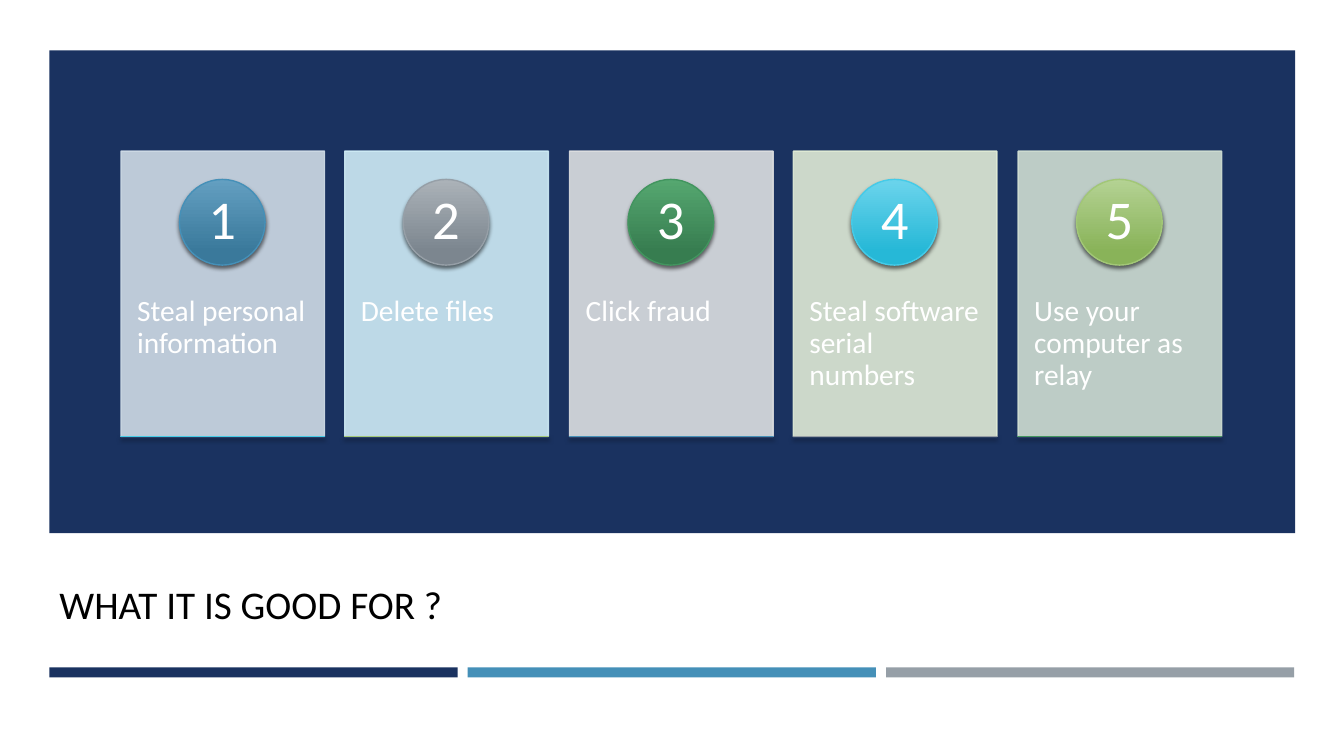
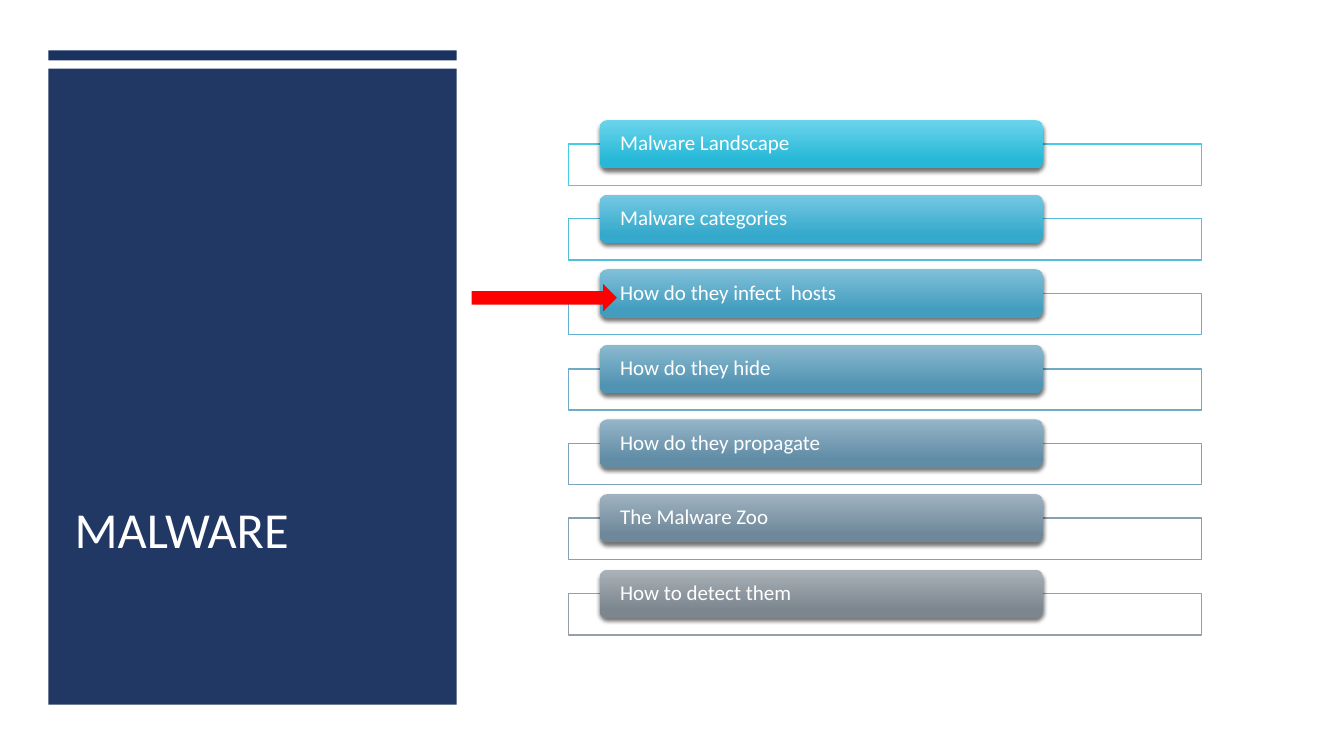
from lxml.etree import SubElement
from pptx import Presentation
from pptx.dml.color import RGBColor
from pptx.enum.shapes import MSO_SHAPE
from pptx.enum.text import MSO_ANCHOR, MSO_AUTO_SIZE, PP_ALIGN
from pptx.oxml.ns import qn
from pptx.util import Emu, Pt

PX = 9144  # one hundredth of an inch
FONT = "Calibri"

COLORS = {
    "white": "FFFFFF", "black": "000000", "navy": "1A3260", "red": "FF0000",
    "blue": "4590B8", "grey": "969FA7",
}
# Gradient top, outline, gradient bottom
SHADES = {
    "blue": ("639FC1", "4590B8", "3A799B"),
    "grey": ("ABB2B8", "969FA7", "7C868F"),
    "green": ("55A770", "42955F", "377D50"),
    "cyan": ("6BD4EC", "45CBE8", "26B8D7"),
    "lime": ("B4D293", "A2C777", "89B359"),
    "cyan 2": ("75C9E3", "53BDDC", "34A9CB"),
    "cyan 3": ("80C0D9", "61B2D1", "439DBF"),
    "cyan 4": ("8BBAD0", "6FAAC6", "5193B2"),
    "cyan 5": ("96B5C8", "7CA4BB", "608CA6"),
    "cyan 6": ("A0B2C0", "89A0B1", "6E889A"),
}


def draw(slide, preset, box, fill, line=None, alpha=None, shadow=False):
    """Add a preset shape; fill is a hex string or a (top, bottom) gradient."""
    shape = slide.shapes.add_shape(preset, *[Emu(v * PX) for v in box])
    shape.shadow.inherit = False
    if isinstance(fill, str):
        shape.fill.solid()
        shape.fill.fore_color.rgb = RGBColor.from_string(fill)
    else:
        shape.fill.gradient()
        shape.fill.gradient_angle = 270
        for stop, color, position in zip(shape.fill.gradient_stops, fill, (0, 0.84)):
            stop.color.rgb = RGBColor.from_string(color)
            stop.position = position
    if line:
        shape.line.color.rgb = RGBColor.from_string(line)
        shape.line.width = Pt(1)
    else:
        shape.line.fill.background()
    properties = shape._element.spPr
    if alpha:
        for color in list(properties.iter(qn("a:srgbClr"))):
            SubElement(color, qn("a:alpha"), val=str(alpha * 1000))
    if shadow:
        outer = SubElement(properties.find(qn("a:effectLst")), qn("a:outerShdw"),
                           blurRad=str(Pt(3)), dist=str(Pt(2)), dir="5400000",
                           algn="ctr", rotWithShape="0")
        color = SubElement(outer, qn("a:srgbClr"), val=COLORS["black"])
        SubElement(color, qn("a:alpha"), val="55000")
    return shape


def write(shape, text, size, color="white", anchor=MSO_ANCHOR.MIDDLE,
          align=PP_ALIGN.LEFT, insets=(10, 5, 10, 5), spacing=0.9):
    """Set the text of a shape; insets are left, top, right, bottom."""
    frame = shape.text_frame
    frame.text = text
    frame.word_wrap = True
    frame.auto_size = MSO_AUTO_SIZE.NONE
    frame.vertical_anchor = anchor
    (frame.margin_left, frame.margin_top,
     frame.margin_right, frame.margin_bottom) = [Emu(v * PX) for v in insets]
    paragraph = frame.paragraphs[0]
    paragraph.alignment = align
    paragraph.line_spacing = spacing
    paragraph.font.name = FONT
    paragraph.font.size = Pt(size)
    paragraph.font.color.rgb = RGBColor.from_string(COLORS[color])


deck = Presentation()
deck.slide_width, deck.slide_height = Emu(12192000), Emu(750 * PX)
title_only = deck.slide_layouts[5]
purposes, agenda = [deck.slides.add_slide(title_only) for _ in range(2)]

# Slide 1: panel and stripes
draw(purposes, MSO_SHAPE.RECTANGLE, (49, 50, 1236, 479), COLORS["navy"])
for i, name in enumerate(("navy", "blue", "grey")):
    draw(purposes, MSO_SHAPE.RECTANGLE, (49 + 415 * i, 662, 405, 10), COLORS[name])

# Slide 1: numbered cards
CARD_TOP, CARD_WIDTH, CARD_HEIGHT, BADGE = 150, 202, 283, 85
cards = [
    ("Steal personal information", "CFDBE6", "blue", "cyan"),
    ("Delete files", "CFECF6", "grey", "lime"),
    ("Click fraud", "DDDFE1", "green", "blue"),
    ("Steal software serial numbers", "E0EBD6", "cyan", "grey"),
    ("Use your computer as relay", "CFDDD2", "lime", "green"),
]
for i, (purpose, tint, badge_shade, base_shade) in enumerate(cards):
    left = 120 + 890 * i // 4
    card = draw(purposes, MSO_SHAPE.RECTANGLE,
                (left, CARD_TOP, CARD_WIDTH, CARD_HEIGHT), tint, tint, alpha=90)
    write(card, purpose, 21, anchor=MSO_ANCHOR.TOP, insets=(16, 144, 16, 41))

    top, edge, bottom = SHADES[badge_shade]
    badge = draw(purposes, MSO_SHAPE.OVAL,
                 (left + (CARD_WIDTH - BADGE) // 2, CARD_TOP + 28, BADGE, BADGE),
                 (top, bottom), edge, shadow=True)
    write(badge, str(i + 1), 39, align=PP_ALIGN.CENTER, insets=(0, 0, 0, 0))

    top, edge, bottom = SHADES[base_shade]
    draw(purposes, MSO_SHAPE.RECTANGLE,
         (left, CARD_TOP + CARD_HEIGHT, CARD_WIDTH, 0), (top, bottom), edge, shadow=True)

# Slide 2: title panel
draw(agenda, MSO_SHAPE.RECTANGLE, (48, 68, 405, 631), COLORS["navy"], alpha=97)
draw(agenda, MSO_SHAPE.RECTANGLE, (48, 50, 405, 10), COLORS["navy"])

# Slide 2: topics
topics = [
    ("Malware Landscape", "cyan"),
    ("Malware categories", "cyan 2"),
    ("How do they infect  hosts", "cyan 3"),
    ("How do they hide", "cyan 4"),
    ("How do they propagate", "cyan 5"),
    ("The Malware Zoo", "cyan 6"),
    ("How to detect them", "grey"),
]
for i, (topic, shade) in enumerate(topics):
    y = 119 + 446 * i // 6
    top, edge, bottom = SHADES[shade]
    draw(agenda, MSO_SHAPE.RECTANGLE, (564, y + 24, 628, 41), COLORS["white"], edge, alpha=None)
    pill = draw(agenda, MSO_SHAPE.ROUNDED_RECTANGLE, (595, y, 440, 48),
                (top, bottom), shadow=True)
    write(pill, topic, 15, insets=(18, 0, 18, 0))

# Slide 2: pointer to the current topic
draw(agenda, MSO_SHAPE.RIGHT_ARROW, (468, 282, 144, 27), COLORS["red"])

# Titles, in front of their panels
titles = [
    (purposes, "WHAT IT IS GOOD FOR ?", (49, 547, 1235, 104), 28, "black", MSO_ANCHOR.MIDDLE),
    (agenda, "MALWARE", (64, 234, 373, 325), 36, "white", MSO_ANCHOR.BOTTOM),
]
for slide, heading, box, size, color, anchor in titles:
    title = slide.shapes.title
    title.left, title.top, title.width, title.height = [Emu(v * PX) for v in box]
    write(title, heading, size, color, anchor, spacing=1.0)
    slide.shapes._spTree.append(title._element)

deck.save("out.pptx")
